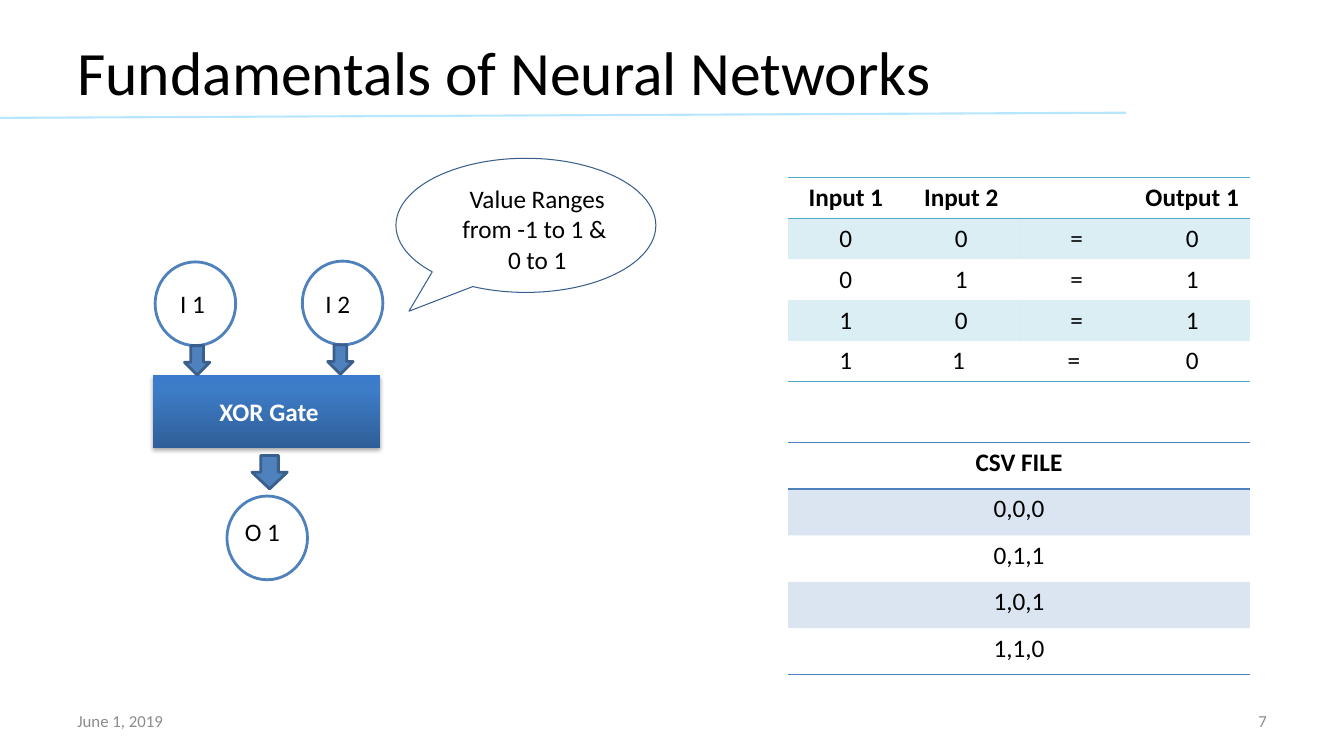
from pptx import Presentation
from pptx import util as u
from pptx.dml.color import RGBColor
from pptx.enum import shapes, text
from pptx.oxml import parse_xml
from pptx.oxml.ns import nsdecls
from lxml import etree

BLACK = RGBColor(0, 0, 0)
WHITE = RGBColor(255, 255, 255)
GREY = RGBColor(0x8C, 0x8C, 0x8C)
BLUE = RGBColor(0x4F, 0x81, 0xBD)
NAVY = RGBColor(0x3A, 0x5F, 0x8C)
TEAL = RGBColor(0x4B, 0xAC, 0xC6)
SKY = RGBColor(0xB7, 0xE6, 0xFF)
GATE_STOPS = [
    (0, RGBColor(0x2F, 0x5F, 0x99)),
    (80, RGBColor(0x3D, 0x7C, 0xC7)),
    (100, RGBColor(0x3A, 0x7C, 0xCB)),
]

LEFT, CENTER, RIGHT = text.PP_ALIGN.LEFT, text.PP_ALIGN.CENTER, text.PP_ALIGN.RIGHT
SHAPE = shapes.MSO_SHAPE
PLAIN_TABLE = "{2D5ABB26-0587-4C30-8999-92F81FD0307C}"


class Deck:
    font = "Calibri"
    size = 18

    def __init__(self, prs):
        self.s = prs.slides.add_slide(prs.slide_layouts[6])

    def run(self, p, words, size=None, color=BLACK, bold=False, align=LEFT):
        p.alignment = align
        r = p.add_run()
        r.text = words
        r.font.name = self.font
        r.font.size = u.Pt(size or self.size)
        r.font.color.rgb = color
        r.font.bold = bold

    def text(self, box, lines, middle=False, **style):
        tf = self.s.shapes.add_textbox(*map(u.Cm, box)).text_frame
        tf.word_wrap = True
        if middle:
            tf.vertical_anchor = text.MSO_ANCHOR.MIDDLE
        else:
            tf.auto_size = text.MSO_AUTO_SIZE.SHAPE_TO_FIT_TEXT
        for i, words in enumerate(lines):
            p = tf.add_paragraph() if i else tf.paragraphs[0]
            self.run(p, words, **style)

    def shape(self, kind, box, fill=None, line=None, width=2):
        sp = self.s.shapes.add_shape(kind, *map(u.Cm, box))
        sp.shadow.inherit = False
        if fill is None:
            sp.fill.background()
        else:
            sp.fill.solid()
            sp.fill.fore_color.rgb = fill
        if line is None:
            sp.line.fill.background()
        else:
            sp.line.color.rgb = line
            sp.line.width = u.Pt(width)
        return sp

    def gradient_box(self, box, stops):
        sp = self.shape(SHAPE.RECTANGLE, box)
        sp.fill.gradient()
        sp.fill.gradient_angle = 90
        props = sp._element.spPr
        gs_list = props.find(".//{*}gsLst")
        for gs in list(gs_list):
            gs_list.remove(gs)
        for pos, color in stops:
            gs_list.append(parse_xml(
                f'<a:gs {nsdecls("a")} pos="{pos * 1000}"><a:srgbClr val="{color}"/></a:gs>'))
        props.find("{*}effectLst").append(parse_xml(
            f'<a:outerShdw {nsdecls("a")} blurRad="40000" dist="23000" dir="5400000" '
            'rotWithShape="0"><a:srgbClr val="000000"><a:alpha val="35000"/>'
            '</a:srgbClr></a:outerShdw>'))

    def line(self, start, end, color, width):
        c = self.s.shapes.add_connector(
            shapes.MSO_CONNECTOR.STRAIGHT, *map(u.Cm, start + end))
        c.line.color.rgb = color
        c.line.width = u.Pt(width)
        c._element.spPr.append(parse_xml(f'<a:effectLst {nsdecls("a")}/>'))

    def border(self, cell, side, color):
        cell._tc.get_or_add_tcPr().append(parse_xml(
            f'<a:{side} {nsdecls("a")} w="12700"><a:solidFill>'
            f'<a:srgbClr val="{color}"/></a:solidFill></a:{side}>'))

    def tint(self, cell, color):
        cell.fill.solid()
        cell.fill.fore_color.rgb = color
        clr = cell._tc.tcPr.find("{*}solidFill/{*}srgbClr")
        etree.SubElement(clr, clr.tag.replace("srgbClr", "alpha"), val="20000")

    def table(self, left, top, width, row_height, rows, accent):
        n_cols = len(rows[0])
        frame = self.s.shapes.add_table(
            len(rows), n_cols, u.Cm(left), u.Cm(top),
            u.Cm(width), u.Cm(row_height * len(rows)))
        tbl = frame.table
        tbl.first_row = tbl.horz_banding = False
        tbl._tbl.tblPr.find("{*}tableStyleId").text = PLAIN_TABLE
        for i, values in enumerate(rows):
            tbl.rows[i].height = u.Cm(row_height)
            for j, value in enumerate(values):
                cell = tbl.cell(i, j)
                if value:
                    self.run(cell.text_frame.paragraphs[0], value,
                             bold=i == 0, align=CENTER)
                if i == 0:
                    self.border(cell, "lnT", accent)
                if i in (0, len(rows) - 1):
                    self.border(cell, "lnB", accent)
                if i % 2:
                    self.tint(cell, accent)
                else:
                    cell.fill.background()


def main():
    prs = Presentation()
    prs.slide_width, prs.slide_height = u.Cm(33.87), u.Cm(19.05)
    d = Deck(prs)

    d.text((1.7, 0.2, 30.48, 3.18), ["Fundamentals of Neural Networks"],
           middle=True, size=44)
    d.line((0, 2.97), (28.37, 2.84), SKY, 1.5)

    truth = [
        ("Input 1", "Input 2", "", "Output 1"),
        ("0", "0", "=", "0"),
        ("0", "1", "=", "1"),
        ("1", "0", "=", "1"),
        ("1", "1 ", "= ", "0"),
    ]
    csv = [("CSV FILE",), ("0,0,0",), ("0,1,1",), ("1,0,1",), ("1,1,0",)]
    d.table(19.86, 4.47, 11.64, 1.03, truth, TEAL)
    d.table(19.86, 11.15, 11.64, 1.17, csv, BLUE)

    for left, top in [(3.91, 6.6), (7.62, 6.58), (5.72, 12.5)]:
        d.shape(SHAPE.OVAL, (left, top, 2.03, 2.11), line=BLUE)
    d.gradient_box((3.86, 9.45, 5.72, 1.83), GATE_STOPS)
    for name, left, top in [("I 1", 4.29, 7.14), ("I 2", 7.95, 7.14), ("O 1", 5.92, 12.88)]:
        d.text((left, top, 1.47, 1.02), [name])
    d.text((5.28, 9.86, 3.61, 1.02), ["XOR Gate"], color=WHITE, bold=True)

    callout = d.shape(SHAPE.OVAL_CALLOUT, (9.98, 3.99, 6.55, 3.38), line=NAVY, width=0.75)
    callout.adjustments[0], callout.adjustments[1] = -0.45, 0.64
    d.text((11, 4.5, 5.08, 2.57), ["Value Ranges from -1 to 1 & ", "0 to 1"], align=CENTER)

    for box in [(4.65, 8.71, 0.64, 0.74), (8.26, 8.69, 0.64, 0.74), (6.35, 11.48, 0.89, 0.84)]:
        d.shape(SHAPE.DOWN_ARROW, box, fill=BLUE, line=NAVY)

    for words, left, align in [("June 1, 2019", 1.7, LEFT), ("7", 24.28, RIGHT)]:
        d.text((left, 17.65, 7.9, 1.02), [words], middle=True,
               size=12, color=GREY, align=align)

    prs.save("out.pptx")


if __name__ == "__main__":
    main()
